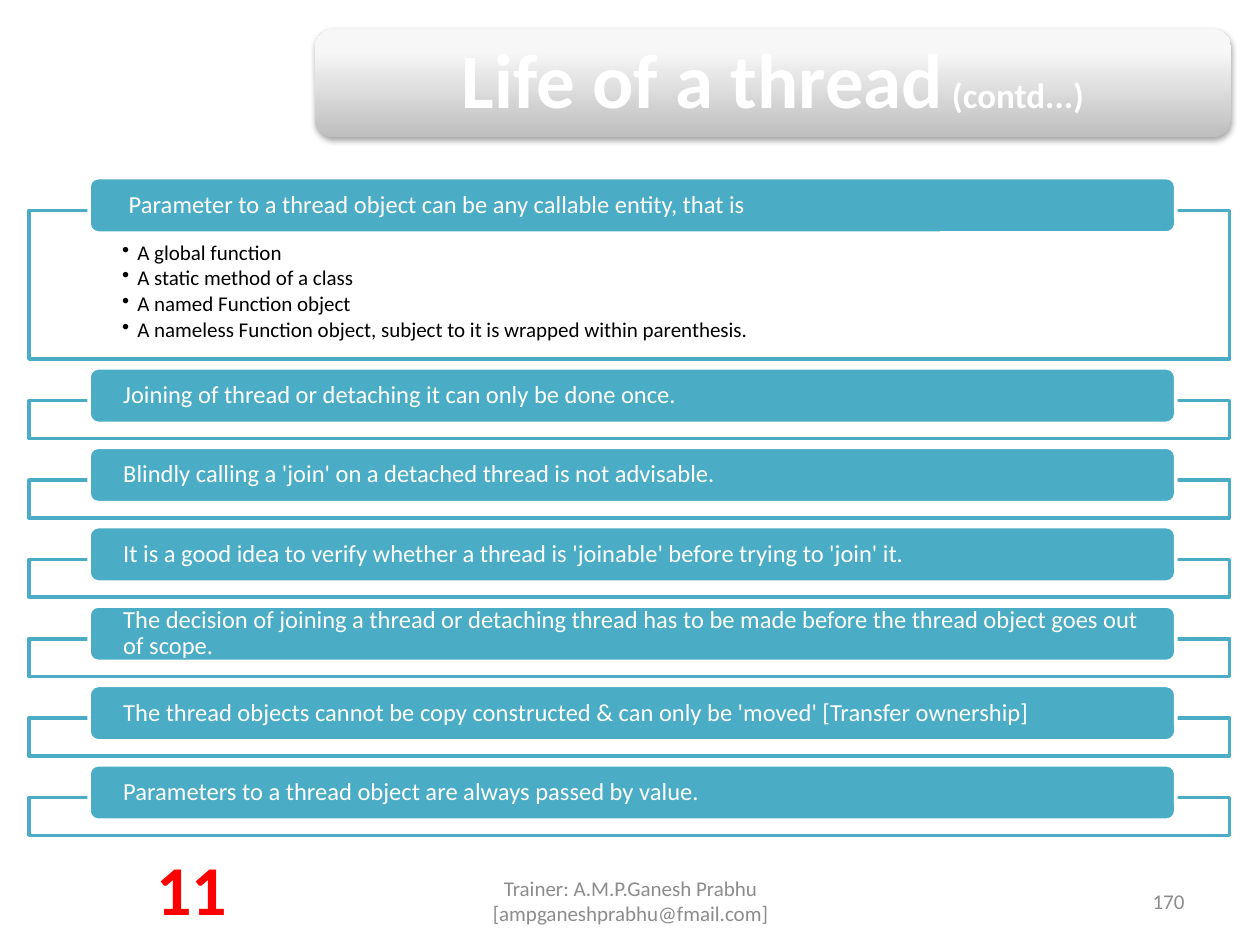
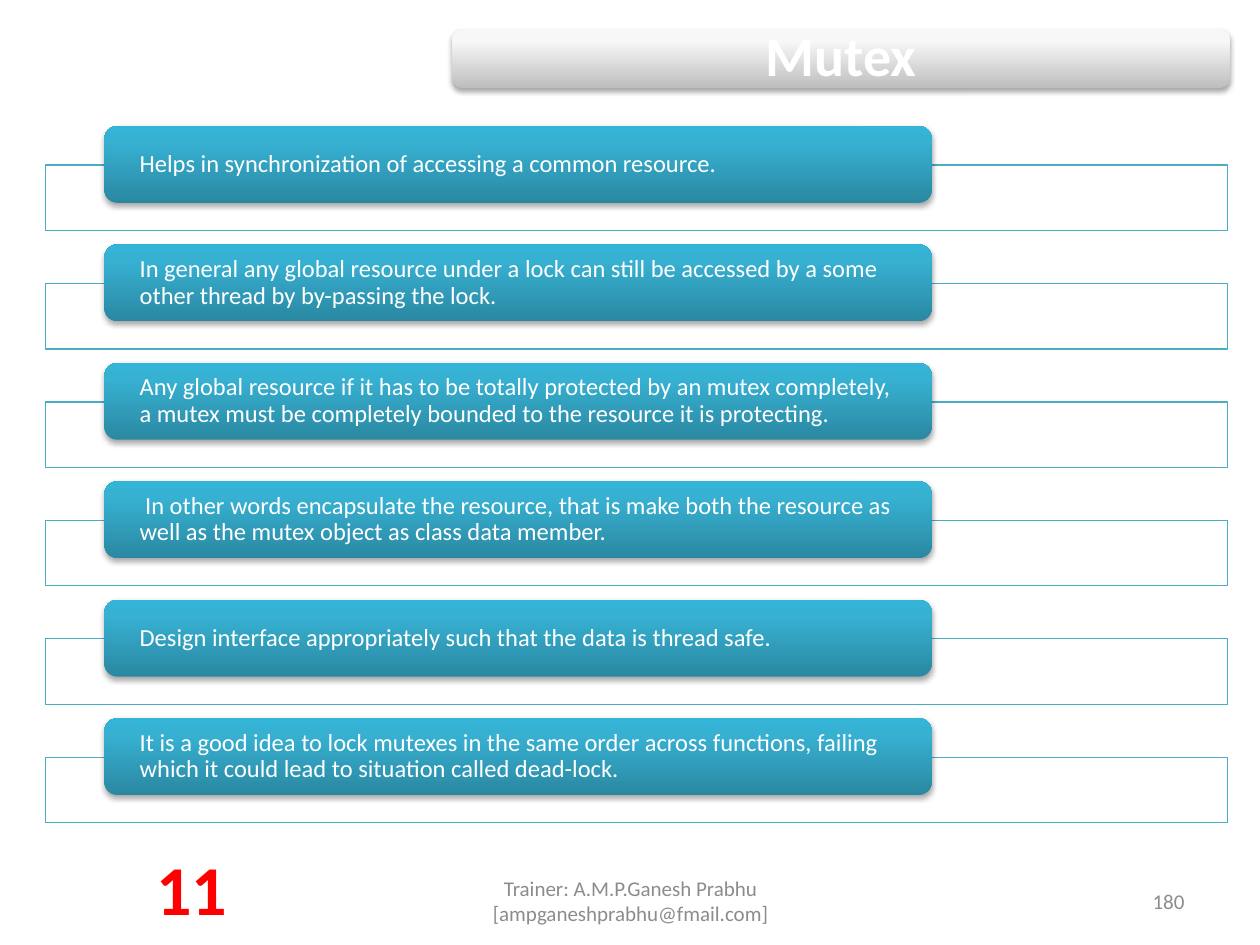
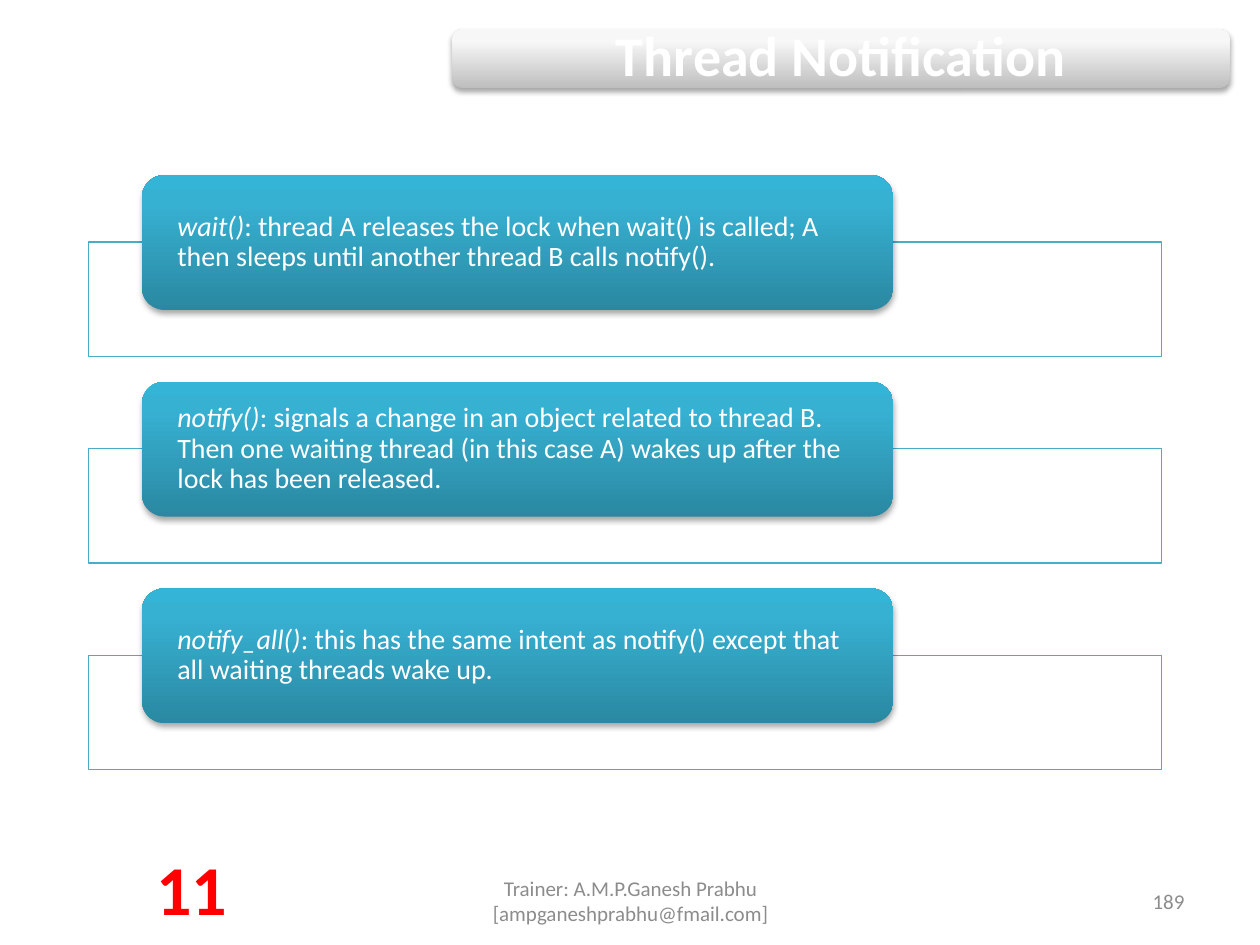
from dataclasses import dataclass

from pptx import Presentation
from pptx import util as u
from pptx.dml.color import RGBColor
from pptx.enum import shapes, text
from pptx.oxml import parse_xml
from pptx.oxml.ns import nsdecls, qn

WHITE = RGBColor(0xFF, 0xFF, 0xFF)
BLACK = RGBColor(0x00, 0x00, 0x00)
GREY = RGBColor(0x8C, 0x8C, 0x8C)
RED = RGBColor(0xFF, 0x00, 0x00)
TEAL = RGBColor(0x4B, 0xAC, 0xC6)
SILVER_STOPS = (
    (0, RGBColor(0xBE, 0xBE, 0xBE)),
    (80, RGBColor(0xF7, 0xF7, 0xF7)),
    (100, RGBColor(0xF8, 0xF8, 0xF8)),
)
TEAL_STOPS = (
    (0, RGBColor(0x2A, 0x88, 0xA2)),
    (80, RGBColor(0x37, 0xB1, 0xD2)),
    (100, RGBColor(0x34, 0xB4, 0xD6)),
)
FONT = "Calibri"
LEFT, CENTER, RIGHT = text.PP_ALIGN.LEFT, text.PP_ALIGN.CENTER, text.PP_ALIGN.RIGHT
TOP, MIDDLE = text.MSO_ANCHOR.TOP, text.MSO_ANCHOR.MIDDLE
RECT = shapes.MSO_SHAPE.RECTANGLE
ROUNDED = shapes.MSO_SHAPE.ROUNDED_RECTANGLE
TRAINER = "Trainer: A.M.P.Ganesh Prabhu [ampganeshprabhu@fmail.com]"
CHAPTER = "11"


@dataclass
class StackStyle:
    card_share: float
    card_height: float
    drop: float
    frame_height: float
    gap: float
    frame_line: float
    size: int
    inset: float
    glossy: bool = True


FLAT = StackStyle(0.905, 0.44, 0.26, 0.3, 0.07, 2, 14, 0.25, glossy=False)
COMPACT = StackStyle(0.7, 0.61, 0.31, 0.52, 0.11, 0.75, 14, 0.25)
ROOMY = StackStyle(0.7, 1.07, 0.53, 0.91, 0.2, 0.75, 16, 0.23)


def inches(box):
    return [u.Inches(length) for length in box]


def add_bullet(paragraph, hang):
    properties = paragraph._p.get_or_add_pPr()
    properties.set("marL", str(u.Inches(hang)))
    properties.set("indent", str(-u.Inches(hang)))
    properties.append(parse_xml(f'<a:buChar {nsdecls("a")} char="•"/>'))


def write(frame, paragraphs, size, color, align=LEFT, anchor=MIDDLE, bold=False,
          insets=(0.1, 0.05, 0.1, 0.05), spacing=0.9, after=0, bullet=None):
    frame.word_wrap = True
    frame.auto_size = text.MSO_AUTO_SIZE.NONE
    frame.vertical_anchor = anchor
    (frame.margin_left, frame.margin_top,
     frame.margin_right, frame.margin_bottom) = inches(insets)
    for index, runs in enumerate(paragraphs):
        paragraph = frame.add_paragraph() if index else frame.paragraphs[0]
        paragraph.alignment = align
        paragraph.line_spacing = spacing
        paragraph.space_after = u.Pt(after)
        if bullet:
            add_bullet(paragraph, bullet)
        for words, changes in runs:
            run = paragraph.add_run()
            run.text = words
            run.font.name = FONT
            run.font.size = u.Pt(changes.get("size", size))
            run.font.bold = bold
            run.font.italic = changes.get("italic", False)
            run.font.color.rgb = color


def plain(words):
    return [(words, {})]


def add_panel(slide, kind, box, fill, line=None, line_width=0):
    panel = slide.shapes.add_shape(kind, *inches(box))
    panel.shadow.inherit = False
    panel.fill.solid()
    panel.fill.fore_color.rgb = fill
    if line is None:
        panel.line.fill.background()
    else:
        panel.line.color.rgb = line
        panel.line.width = u.Pt(line_width)
    return panel


def add_glossy(slide, box, stops):
    panel = add_panel(slide, ROUNDED, box, stops[0][1])
    properties = panel.element.spPr
    gradient = "".join(
        f'<a:gs pos="{percent * 1000}"><a:srgbClr val="{color}"/></a:gs>'
        for percent, color in stops)
    solid = properties.find(qn("a:solidFill"))
    properties.replace(solid, parse_xml(
        f'<a:gradFill {nsdecls("a")} rotWithShape="1"><a:gsLst>{gradient}</a:gsLst>'
        '<a:lin ang="16200000" scaled="0"/></a:gradFill>'))
    properties.find(qn("a:effectLst")).append(parse_xml(
        f'<a:outerShdw {nsdecls("a")} blurRad="40000" dist="23000" dir="5400000" '
        'rotWithShape="0"><a:srgbClr val="000000"><a:alpha val="35000"/>'
        '</a:srgbClr></a:outerShdw>'))
    return panel


def add_title(slide, box, runs, size, inset):
    add_glossy(slide, box, SILVER_STOPS)
    left, top, width, height = box
    edge = height * 0.05
    title = slide.shapes.title
    title.left, title.top, title.width, title.height = inches(
        (left + edge, top + edge, width - 2 * edge, height - 2 * edge))
    write(title.text_frame, [runs], size, WHITE, align=CENTER, bold=True,
          insets=(inset,) * 4)
    title.element.getparent().append(title.element)


def add_label(slide, box, words, size, color, align, **options):
    label = slide.shapes.add_textbox(*inches(box))
    write(label.text_frame, [plain(words)], size, color, align=align,
          spacing=1.0, **options)


def add_footer(slide, number):
    top, height = 6.95, 0.4
    add_label(slide, (3.42, top, 3.17, height), TRAINER, 12, GREY, CENTER)
    add_label(slide, (7.17, top, 2.33, height), number, 12, GREY, RIGHT)
    add_label(slide, (1.13, 6.66, 0.78, 0.77), CHAPTER, 40, RED, CENTER,
              anchor=TOP, bold=True)


def add_stack(slide, left, top, width, items, style, details=(), details_height=0):
    for index, runs in enumerate(items):
        opened = details and index == 0
        frame_height = details_height if opened else style.frame_height
        frame = add_panel(slide, RECT, (left, top + style.drop, width, frame_height),
                          WHITE, TEAL, style.frame_line)
        fill_color = frame.element.spPr.find(qn("a:solidFill"))[0]
        fill_color.append(parse_xml(f'<a:alpha {nsdecls("a")} val="90000"/>'))
        if opened:
            write(frame.text_frame, [plain(words) for words in details], 12, BLACK,
                  anchor=TOP, insets=(0.74, 0.25, 0.74, 0.09), after=1.8, bullet=0.12)
        card_box = (left + width * 0.05, top, width * style.card_share,
                    style.card_height)
        if style.glossy:
            card = add_glossy(slide, card_box, TEAL_STOPS)
        else:
            card = add_panel(slide, ROUNDED, card_box, TEAL, WHITE, 2)
        write(card.text_frame, [runs], style.size, WHITE,
              insets=(style.inset, 0, style.inset, 0))
        top += style.drop + frame_height + style.gap


def new_slide(deck, number):
    slide = deck.slides.add_slide(deck.slide_layouts[5])
    add_footer(slide, number)
    return slide


def add_short_title(slide, words):
    add_title(slide, (3.59, 0.23, 6.17, 0.47), plain(words), 32, 0.13)


def build_thread_life(deck):
    slide = new_slide(deck, "170")
    add_title(slide, (2.5, 0.23, 7.27, 0.86),
              [("Life of a thread", {}), (" (contd...)", {"size": 20})], 44, 0.18)
    rules = [
        " Parameter to a thread object can be any callable entity, that is",
        "Joining of thread or detaching it can only be done once.",
        "Blindly calling a 'join' on a detached thread is not advisable.",
        "It is a good idea to verify whether a thread is 'joinable' before trying to 'join' it.",
        "The decision of joining a thread or detaching thread has to be made before "
        "the thread object goes out of scope.",
        "The thread objects cannot be copy constructed & can only be 'moved' "
        "[Transfer ownership]",
        "Parameters to a thread object are always passed by value.",
    ]
    callables = [
        "A global function",
        "A static method of a class",
        "A named Function object",
        "A nameless Function object, subject to it is wrapped within parenthesis.",
    ]
    add_stack(slide, 0.23, 1.41, 9.53, [plain(rule) for rule in rules], FLAT,
              details=callables, details_height=1.18)


def build_mutex(deck):
    slide = new_slide(deck, "180")
    add_short_title(slide, "Mutex")
    advice = [
        "Helps in synchronization of accessing a common resource.",
        "In general any global resource under a lock can still be accessed by a some "
        "other thread by by-passing the lock.",
        "Any global resource if it has to be totally protected by an mutex completely, "
        "a mutex must be completely bounded to the resource it is protecting.",
        " In other words encapsulate the resource, that is make both the resource as "
        "well as the mutex object as class data member.",
        "Design interface appropriately such that the data is thread safe.",
        "It is a good idea to lock mutexes in the same order across functions, failing "
        "which it could lead to situation called dead-lock.",
    ]
    add_stack(slide, 0.36, 1.0, 9.38, [plain(tip) for tip in advice], COMPACT)


def build_notification(deck):
    slide = new_slide(deck, "189")
    add_short_title(slide, "Thread Notification")
    calls = {
        "wait()": ": thread A releases the lock when wait() is called; A then sleeps "
                  "until another thread B calls notify().",
        "notify()": ": signals a change in an object related to thread B. Then one "
                    "waiting thread (in this case A) wakes up after the lock has been "
                    "released.",
        "notify_all()": ": this has the same intent as notify() except that all "
                        "waiting threads wake up.",
    }
    items = [[(call, {"italic": True}), (meaning, {})]
             for call, meaning in calls.items()]
    add_stack(slide, 0.7, 1.39, 8.52, items, ROOMY)


def main():
    deck = Presentation()
    deck.slide_width, deck.slide_height = inches((10, 7.5))
    build_thread_life(deck)
    build_mutex(deck)
    build_notification(deck)
    deck.save("out.pptx")


if __name__ == "__main__":
    main()
